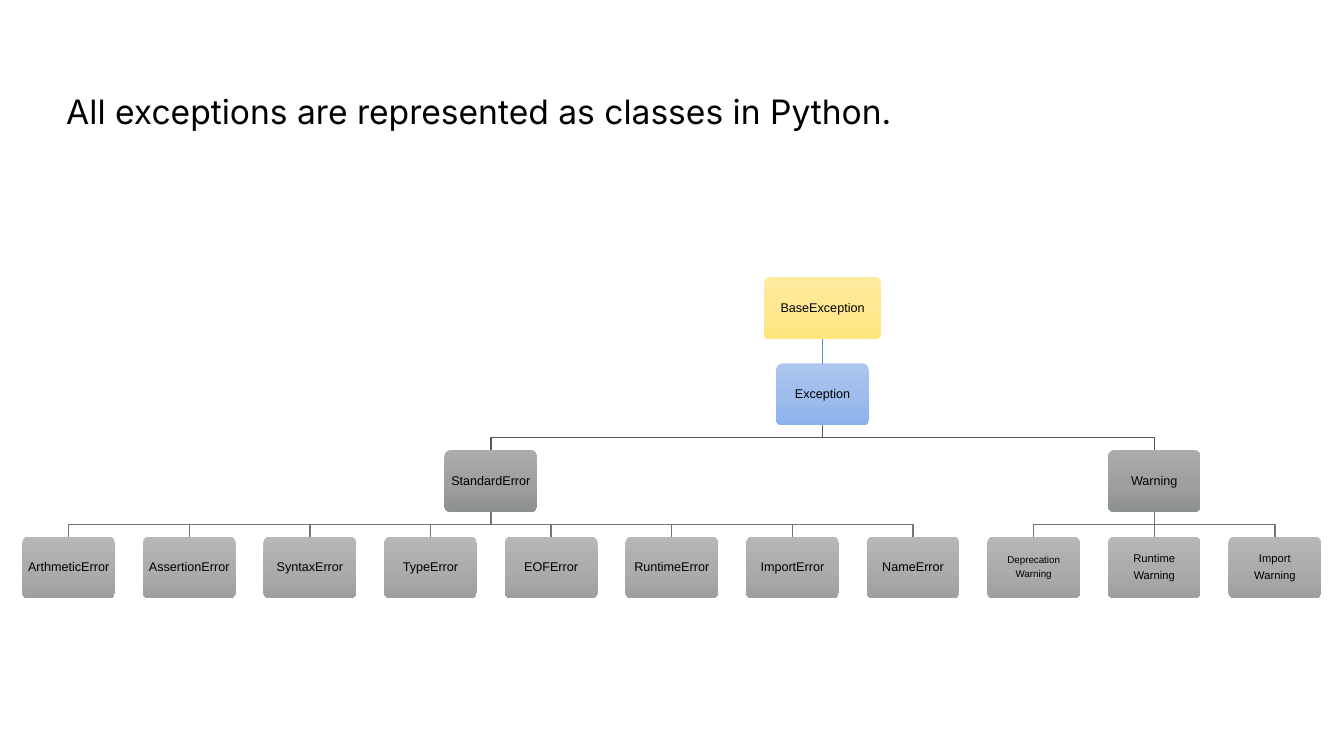
from copy import deepcopy

from lxml.etree import SubElement
from pptx import Presentation
from pptx.dml.color import RGBColor
from pptx.enum.shapes import MSO_CONNECTOR as CONNECTOR, MSO_SHAPE as SHAPE
from pptx.enum.text import MSO_ANCHOR as ANCHOR, PP_ALIGN as ALIGN
from pptx.oxml.ns import qn
from pptx.util import Cm, Pt

BLACK = RGBColor(0x00, 0x00, 0x00)
BASE_LINK = RGBColor(0x4C, 0x93, 0xDF)
GROUP_LINK = RGBColor(0x55, 0x5A, 0x5C)
LEAF_LINK = RGBColor(0x73, 0x74, 0x74)
YELLOW = [RGBColor(0xFF, 0xEB, 0x9E), RGBColor(0xFF, 0xE8, 0x91), RGBColor(0xFF, 0xE5, 0x7C)]
BLUE = [RGBColor(0xAC, 0xC7, 0xEF), RGBColor(0x9E, 0xBD, 0xEB), RGBColor(0x8C, 0xB3, 0xEC)]
DARK_GREY = [RGBColor(0xAB, 0xAC, 0xAD), RGBColor(0x9F, 0xA0, 0xA1), RGBColor(0x8E, 0x91, 0x92)]
LIGHT_GREY = [RGBColor(0xB7, 0xB7, 0xB7), RGBColor(0xAB, 0xAC, 0xAC), RGBColor(0x9F, 0x9F, 0x9F)]

FIRST_CENTRE, COLUMN_PITCH = 1.73, 3.04
FIRST_TOP, ROW_PITCH = 6.98, 2.18
BOX_WIDTH, BASE_WIDTH, BOX_HEIGHT = 2.34, 2.97, 1.56

BOX_FRAME = {
    "word_wrap": True,
    "vertical_anchor": ANCHOR.MIDDLE,
    "margin_left": Cm(0.08),
    "margin_right": Cm(0.08),
    "margin_top": Cm(0.08),
    "margin_bottom": Cm(0.08),
}

STANDARD_ERRORS = [
    "ArthmeticError", "AssertionError", "SyntaxError", "TypeError",
    "EOFError", "RuntimeError", "ImportError", "NameError",
]
WARNINGS = [("Deprecation\nWarning", 7), ("Runtime\nWarning", 8), ("Import\nWarning", 8)]


def apply_format(target, values):
    for attribute, value in values.items():
        setattr(target, attribute, value)


def fill_gradient(box, colours):
    box.fill.gradient()
    box.fill.gradient_angle = 270
    first_stop = box._element.xpath(".//a:gsLst/a:gs")[0]
    middle_stop = deepcopy(first_stop)
    middle_stop.set("pos", "50000")
    first_stop.addnext(middle_stop)
    for stop, colour in zip(box.fill.gradient_stops, colours):
        stop.color.rgb = colour


def add_class(slide, name, column, row, colours, size=9, width=BOX_WIDTH):
    centre = FIRST_CENTRE + column * COLUMN_PITCH
    top = FIRST_TOP + row * ROW_PITCH
    box = slide.shapes.add_shape(
        SHAPE.ROUNDED_RECTANGLE, Cm(centre - width / 2), Cm(top), Cm(width), Cm(BOX_HEIGHT))
    box.adjustments[0] = 0.1
    box.shadow.inherit = False
    box.line.fill.background()
    fill_gradient(box, colours)
    apply_format(box.text_frame, BOX_FRAME)
    box.text_frame.text = name
    for paragraph in box.text_frame.paragraphs:
        apply_format(paragraph, {
            "alignment": ALIGN.CENTER, "line_spacing": 0.9, "space_after": Pt(0.4 * size)})
        apply_format(paragraph.font, {"name": "Arial", "size": Pt(size)})
        paragraph.font.color.rgb = BLACK
    return box


def add_straight_link(slide, parent, child):
    link = slide.shapes.add_connector(CONNECTOR.STRAIGHT, 0, 0, 0, 0)
    link.begin_connect(parent, 2)
    link.end_connect(child, 0)
    return link


def add_elbow_link(slide, parent, child):
    start_x, start_y = parent.left + parent.width // 2, parent.top + parent.height
    end_x, end_y = child.left + child.width // 2, child.top
    middle_y = (start_y + end_y) // 2
    outline = slide.shapes.build_freeform(start_x, start_y)
    outline.add_line_segments(
        [(start_x, middle_y), (end_x, middle_y), (end_x, end_y)], close=False)
    link = outline.convert_to_shape()
    link.fill.background()
    return link


def add_link(slide, parent, child, colour):
    offset = parent.left + parent.width // 2 - child.left - child.width // 2
    is_straight = abs(offset) < Cm(0.01)
    link = (add_straight_link if is_straight else add_elbow_link)(slide, parent, child)
    link.line.color.rgb = colour
    link.line.width = Pt(1)
    SubElement(link._element.spPr, qn("a:effectLst"))


def add_statement(slide, wording):
    statement = slide.shapes.add_textbox(Cm(1.42), Cm(2.16), Cm(27.38), Cm(1.28))
    statement.text_frame.word_wrap = True
    statement.text_frame.text = wording
    font = statement.text_frame.paragraphs[0].font
    apply_format(font, {"name": "Inter", "size": Pt(24)})
    font.color.rgb = BLACK


def main():
    presentation = Presentation()
    apply_format(presentation, {"slide_width": Cm(33.87), "slide_height": Cm(19.05)})
    slide = presentation.slides.add_slide(presentation.slide_layouts[6])

    add_statement(slide, "All exceptions are represented as classes in Python.")

    standard_column = (len(STANDARD_ERRORS) - 1) / 2
    warning_column = len(STANDARD_ERRORS) + (len(WARNINGS) - 1) / 2
    root_column = (standard_column + warning_column) / 2

    base = add_class(slide, "BaseException", root_column, 0, YELLOW, width=BASE_WIDTH)
    exception = add_class(slide, "Exception", root_column, 1, BLUE)
    standard = add_class(slide, "StandardError", standard_column, 2, DARK_GREY)
    warning = add_class(slide, "Warning", warning_column, 2, DARK_GREY)
    add_link(slide, base, exception, BASE_LINK)
    for group in (standard, warning):
        add_link(slide, exception, group, GROUP_LINK)

    leaves = [(standard, name, 9) for name in STANDARD_ERRORS]
    leaves += [(warning, name, size) for name, size in WARNINGS]
    for column, (parent, name, size) in enumerate(leaves):
        leaf = add_class(slide, name, column, 3, LIGHT_GREY, size)
        add_link(slide, parent, leaf, LEAF_LINK)

    presentation.save("out.pptx")


if __name__ == "__main__":
    main()
